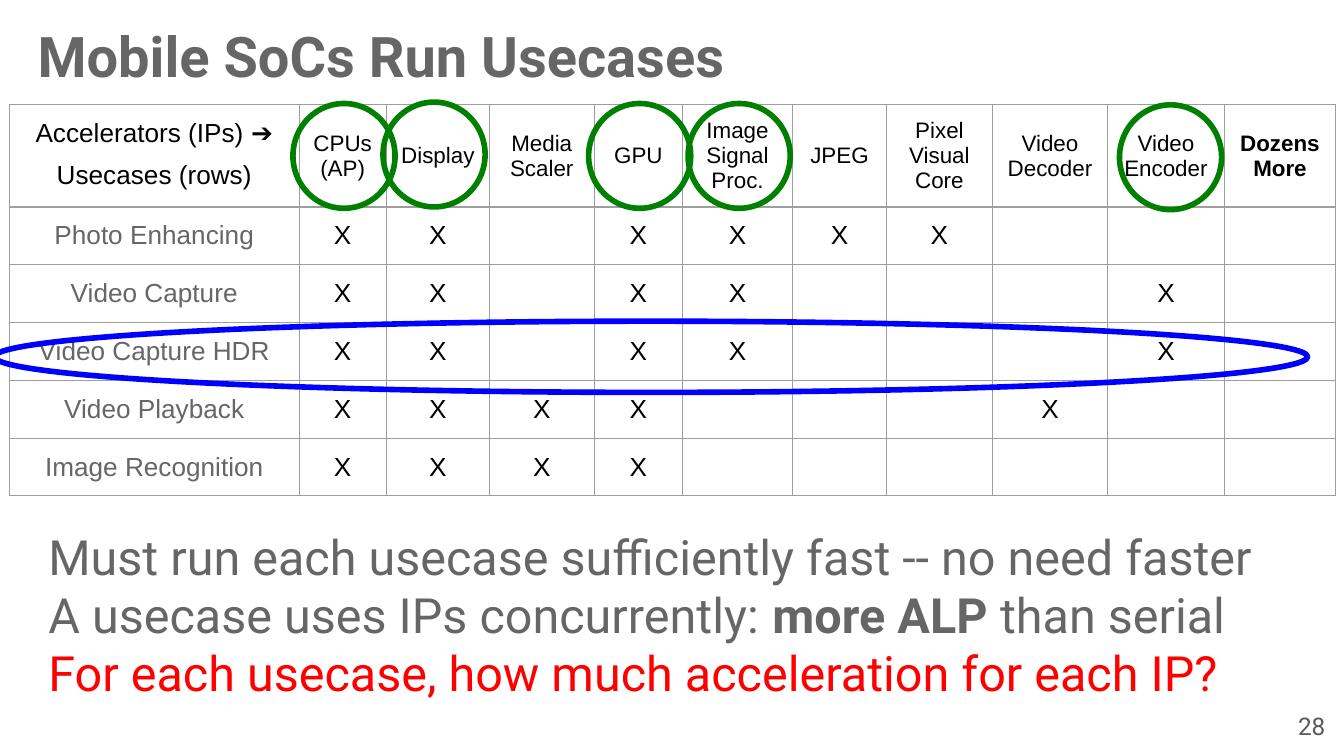
from dataclasses import dataclass

from lxml.etree import SubElement
from pptx import Presentation
from pptx.dml.color import RGBColor
from pptx.enum.shapes import MSO_SHAPE
from pptx.enum.text import MSO_ANCHOR, MSO_AUTO_SIZE, PP_ALIGN
from pptx.oxml.ns import qn
from pptx.util import Inches, Pt


@dataclass(frozen=True)
class Theme:
    heading_font: str = "Roboto"
    table_font: str = "Arial"
    gray: str = "666666"
    number_gray: str = "595959"
    black: str = "000000"
    red: str = "FF0000"
    green: str = "008000"
    blue: str = "0000FF"
    border: str = "9E9E9E"
    title_size: int = 30
    body_size: int = 26
    table_size: int = 14
    header_size: int = 12
    number_size: int = 13
    border_width: float = 0.75
    ring_width: int = 3


THEME = Theme()
MARGIN = Inches(0.1)

TABLE_WIDTH = 9.87
COLUMN_WEIGHTS = [2.16, 0.65, 0.77, 0.78, 0.66, 0.82, 0.7, 0.79, 0.86, 0.87, 0.83]
HEADER_HEIGHT = 0.76
ROW_HEIGHT = 0.43
CORNER = ["Accelerators (IPs) ➔", "Usecases (rows)"]
ACCELERATORS = [
    ["CPUs", "(AP)"], ["Display"], ["Media Scaler"], ["GPU"], ["Image Signal Proc."],
    ["JPEG"], ["Pixel Visual Core"], ["Video Decoder"], ["Video Encoder"], ["Dozens More"],
]
USECASES = {
    "Photo Enhancing": {1, 2, 4, 5, 6, 7},
    "Video Capture": {1, 2, 4, 5, 9},
    "Video Capture HDR": {1, 2, 4, 5, 9},
    "Video Playback": {1, 2, 3, 4, 8},
    "Image Recognition": {1, 2, 3, 4},
}
USED_ACCELERATORS = [(2.18, 0.77), (2.85, 0.76), (4.38, 0.77), (5.12, 0.77), (8.33, 0.78)]
STATEMENTS = [
    [("Must run each usecase sufficiently fast -- no need faster", THEME.gray, False)],
    [
        ("A usecase uses IPs concurrently: ", THEME.gray, False),
        ("more ALP ", THEME.gray, True),
        ("than serial", THEME.gray, False),
    ],
    [("For each usecase, how much acceleration for each IP?", THEME.red, False)],
]


def add_run(paragraph, text, font_name, size, color, bold=False):
    run = paragraph.add_run()
    run.text = text
    run.font.name = font_name
    run.font.size = Pt(size)
    run.font.bold = bold
    run.font.color.rgb = RGBColor.from_string(color)


def place(shape, box):
    shape.left, shape.top, shape.width, shape.height = map(Inches, box)


def set_margins(target):
    target.margin_left = target.margin_right = MARGIN
    target.margin_top = target.margin_bottom = MARGIN


def prepare_frame(shape, anchor=MSO_ANCHOR.TOP):
    frame = shape.text_frame
    frame.word_wrap = True
    frame.auto_size = MSO_AUTO_SIZE.NONE
    frame.vertical_anchor = anchor
    set_margins(frame)
    return frame


def get_paragraph(frame, index):
    return frame.add_paragraph() if index else frame.paragraphs[0]


def fill_title(title, box):
    place(title, box)
    paragraph = prepare_frame(title, MSO_ANCHOR.BOTTOM).paragraphs[0]
    paragraph.alignment = PP_ALIGN.LEFT
    add_run(paragraph, "Mobile SoCs Run Usecases", THEME.heading_font,
            THEME.title_size, THEME.gray, True)


def fill_statements(body, box):
    place(body, box)
    frame = prepare_frame(body)
    for index, statement in enumerate(STATEMENTS):
        paragraph = get_paragraph(frame, index)
        properties = paragraph._p.get_or_add_pPr()
        properties.set("marL", "0")
        properties.set("indent", "0")
        SubElement(properties, qn("a:buNone"))
        paragraph.space_before = Pt(0)
        for text, color, bold in statement:
            add_run(paragraph, text, THEME.heading_font, THEME.body_size, color, bold)


def add_slide_number(slide, box):
    shape = slide.shapes.add_textbox(*map(Inches, box))
    paragraph = prepare_frame(shape).paragraphs[0]
    paragraph.alignment = PP_ALIGN.RIGHT
    add_run(paragraph, "28", THEME.heading_font, THEME.number_size, THEME.number_gray)


def style_cell(cell):
    properties = cell._tc.get_or_add_tcPr()
    for side in ("lnL", "lnR", "lnT", "lnB"):
        line = SubElement(properties, qn(f"a:{side}"), w=str(Pt(THEME.border_width)))
        fill = SubElement(line, qn("a:solidFill"))
        SubElement(fill, qn("a:srgbClr"), val=THEME.border)
    cell.fill.background()


def write_cell(cell, lines, size, color, bold=False, gap=0, anchor=MSO_ANCHOR.MIDDLE):
    set_margins(cell)
    cell.vertical_anchor = anchor
    for index, text in enumerate(lines):
        paragraph = get_paragraph(cell.text_frame, index)
        paragraph.alignment = PP_ALIGN.CENTER
        if index and gap:
            paragraph.space_before = Pt(gap)
        add_run(paragraph, text, THEME.table_font, size, color, bold)


def add_usecase_table(slide, left, top, width):
    height = HEADER_HEIGHT + ROW_HEIGHT * len(USECASES)
    table = slide.shapes.add_table(
        len(USECASES) + 1, len(COLUMN_WEIGHTS), Inches(left), Inches(top),
        Inches(width), Inches(height)).table
    table.first_row = table.horz_banding = False
    for column, weight in zip(table.columns, COLUMN_WEIGHTS):
        column.width = Inches(width * weight / sum(COLUMN_WEIGHTS))
    for index, row in enumerate(table.rows):
        row.height = Inches(ROW_HEIGHT if index else HEADER_HEIGHT)
    for cell in table.iter_cells():
        style_cell(cell)

    write_cell(table.cell(0, 0), CORNER, THEME.table_size, THEME.black,
               gap=7, anchor=MSO_ANCHOR.TOP)
    for column, lines in enumerate(ACCELERATORS, 1):
        write_cell(table.cell(0, column), lines, THEME.header_size, THEME.black,
                   bold=column == len(ACCELERATORS))
    for row, (usecase, used_columns) in enumerate(USECASES.items(), 1):
        write_cell(table.cell(row, 0), [usecase], THEME.table_size, THEME.gray)
        for column in used_columns:
            write_cell(table.cell(row, column), ["X"], THEME.table_size, THEME.black)


def add_ring(slide, box, color):
    ring = slide.shapes.add_shape(MSO_SHAPE.OVAL, *map(Inches, box))
    ring.shadow.inherit = False
    ring.fill.background()
    ring.line.color.rgb = RGBColor.from_string(color)
    ring.line.width = Pt(THEME.ring_width)


def main():
    presentation = Presentation()
    presentation.slide_width = Inches(10)
    presentation.slide_height = presentation.slide_width * 9 // 16
    slide = presentation.slides.add_slide(presentation.slide_layouts[1])
    fill_statements(slide.placeholders[1], (0.26, 3.82, 9.61, 1.55))
    fill_title(slide.shapes.title, (0.18, -0.07, 9.55, 0.83))
    add_slide_number(slide, (9.36, 5.19, 0.6, 0.43))
    add_usecase_table(slide, 0.07, 0.78, TABLE_WIDTH)
    add_ring(slide, (-0.04, 2.39, 9.77, 0.53), THEME.blue)
    for left, top in USED_ACCELERATORS:
        add_ring(slide, (left, top, 0.76, 0.78), THEME.green)
    presentation.save("out.pptx")


if __name__ == "__main__":
    main()
